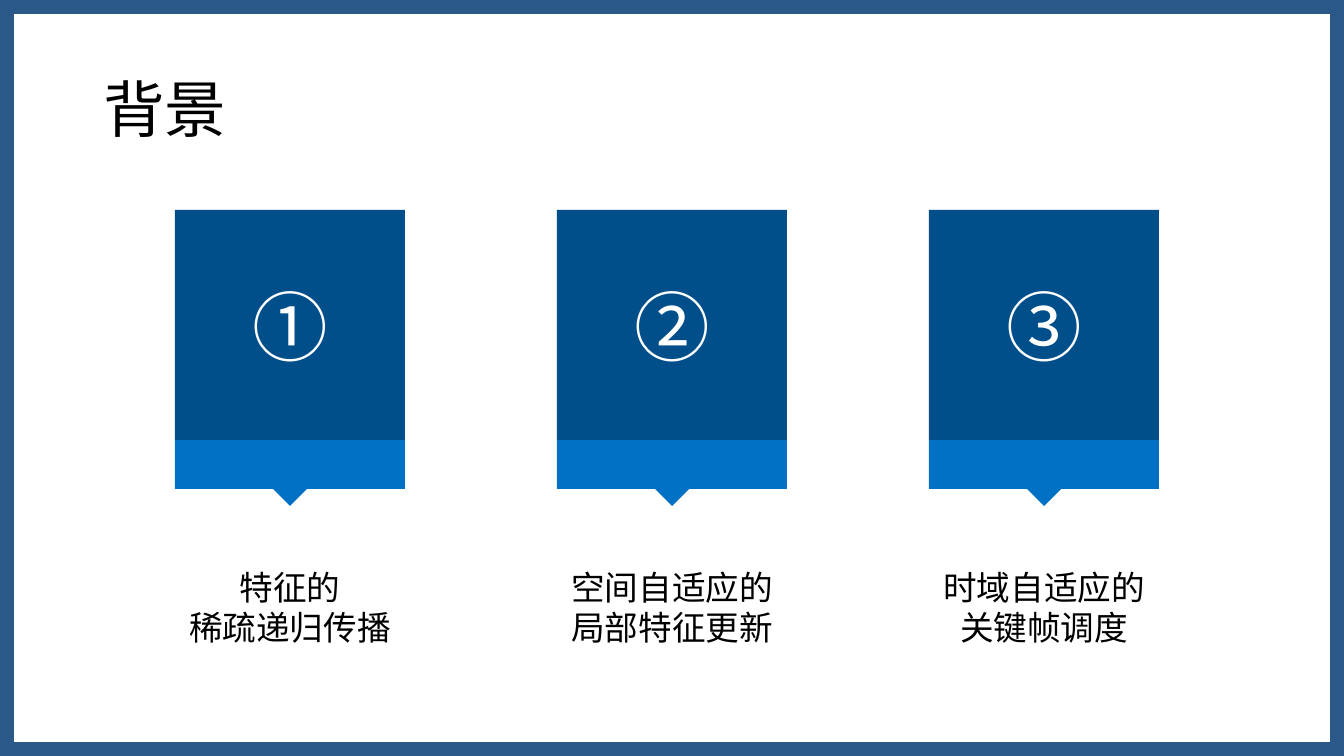
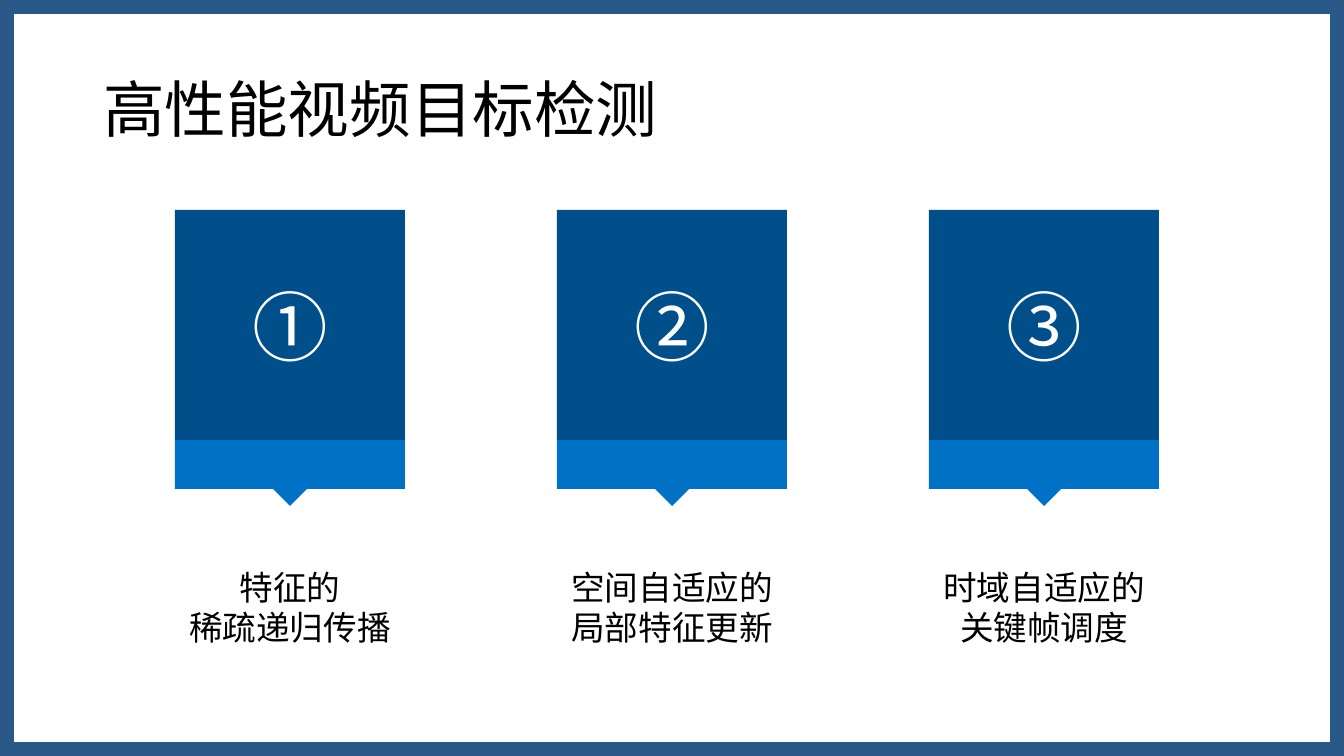
from dataclasses import dataclass

from lxml import etree
from pptx import Presentation
from pptx.dml.color import RGBColor
from pptx.enum.shapes import MSO_SHAPE
from pptx.enum.text import MSO_ANCHOR, MSO_AUTO_SIZE, PP_ALIGN
from pptx.oxml.ns import qn
from pptx.util import Emu, Pt

RECTANGLE, TRIANGLE = MSO_SHAPE.RECTANGLE, MSO_SHAPE.RIGHT_TRIANGLE
LEFT, CENTER = PP_ALIGN.LEFT, PP_ALIGN.CENTER
MIDDLE = MSO_ANCHOR.MIDDLE
NO_FIT, GROW = MSO_AUTO_SIZE.NONE, MSO_AUTO_SIZE.SHAPE_TO_FIT_TEXT

EMU_PER_PX = 914400 / 100.8
FONT = "Noto Sans CJK SC"
COLORS = {
    "frame": "2A5989",
    "tile": "004F8A",
    "band": "0171C5",
    "text": "000000",
    "number": "FFFFFF",
}

# Shared geometry, in px
SLIDE_W, SLIDE_H = 1344, 756
TITLE_BOX = (93, 40, 1159, 146)
TILE_TOP, TILE_SIZE = 210, 230
BAND_TOP, BAND_H = TILE_TOP + TILE_SIZE, 49
POINTER_SIZE = 24
CAPTION_TOP, CAPTION_H = 562, 92


@dataclass(frozen=True)
class Card:
    number: str
    caption: tuple[str, str]
    center: int
    caption_w: int


CARDS = (
    Card("①", ("特征的", "稀疏递归传播"), 290, 332),
    Card("②", ("空间自适应的", "局部特征更新"), 672, 390),
    Card("③", ("时域自适应的", "关键帧调度"), 1044, 328),
)
TITLES = ("背景", "高性能视频目标检测")


def px(length: int) -> Emu:
    return Emu(round(length * EMU_PER_PX))


def box(left: int, top: int, width: int, height: int) -> tuple[Emu, ...]:
    return px(left), px(top), px(width), px(height)


def rgb(color: str) -> RGBColor:
    return RGBColor.from_string(COLORS[color])


def write(frame, lines: tuple[str, ...], size: int, color: str, align) -> None:
    """Fill a text frame with equally formatted paragraphs."""
    frame.text = "\n".join(lines)
    for paragraph in frame.paragraphs:
        paragraph.alignment = align
        font = paragraph.font
        font.size, font.name = Pt(size), FONT
        font.color.rgb = rgb(color)
        # East Asian typeface
        defaults = paragraph._p.pPr.find(qn("a:defRPr"))
        etree.SubElement(defaults, qn("a:ea"), typeface=FONT)


def add_block(slide, preset, place: tuple[Emu, ...], color: str):
    block = slide.shapes.add_shape(preset, *place)
    block.shadow.inherit = False
    block.fill.solid()
    block.fill.fore_color.rgb = rgb(color)
    block.line.fill.background()
    return block


def add_frame(slide, layout) -> None:
    """Draw the border and move it to the back of the layout."""
    border = slide.shapes.add_shape(RECTANGLE, *box(0, 0, SLIDE_W, SLIDE_H))
    border.shadow.inherit = False
    border.fill.background()
    border.line.color.rgb = rgb("frame")
    border.line.width = Pt(20)
    layout.shapes.element.insert(2, border.element)


def add_title(slide, text: str) -> None:
    title = slide.shapes.title
    title.left, title.top, title.width, title.height = box(*TITLE_BOX)
    frame = title.text_frame
    write(frame, (text,), 44, "text", LEFT)
    frame.auto_size = NO_FIT
    frame.vertical_anchor = MIDDLE
    frame.paragraphs[0].line_spacing = 0.9


def add_card(slide, card: Card) -> None:
    left = card.center - TILE_SIZE // 2

    # Band with its downward pointer
    add_block(slide, RECTANGLE, box(left, BAND_TOP, TILE_SIZE, BAND_H), "band")
    half = POINTER_SIZE // 2
    pointer_box = box(card.center - half, BAND_TOP + BAND_H - half,
                      POINTER_SIZE, POINTER_SIZE)
    pointer = add_block(slide, TRIANGLE, pointer_box, "band")
    pointer.rotation = 315

    # Caption
    caption_box = box(card.center - card.caption_w // 2, CAPTION_TOP,
                      card.caption_w, CAPTION_H)
    caption = slide.shapes.add_textbox(*caption_box).text_frame
    caption.word_wrap = True
    caption.auto_size = GROW
    write(caption, card.caption, 24, "text", CENTER)

    # Numbered tile
    tile_box = box(left, TILE_TOP, TILE_SIZE, TILE_SIZE)
    tile = add_block(slide, RECTANGLE, tile_box, "tile")
    tile.text_frame.vertical_anchor = MIDDLE
    write(tile.text_frame, (card.number,), 54, "number", CENTER)


def main() -> None:
    deck = Presentation()
    deck.slide_width, deck.slide_height = px(SLIDE_W), px(SLIDE_H)
    layout = deck.slide_layouts.get_by_name("Title Only")

    for index, text in enumerate(TITLES):
        slide = deck.slides.add_slide(layout)
        if index == 0:
            add_frame(slide, layout)
        add_title(slide, text)
        for card in CARDS:
            add_card(slide, card)

    deck.save("out.pptx")


if __name__ == "__main__":
    main()
